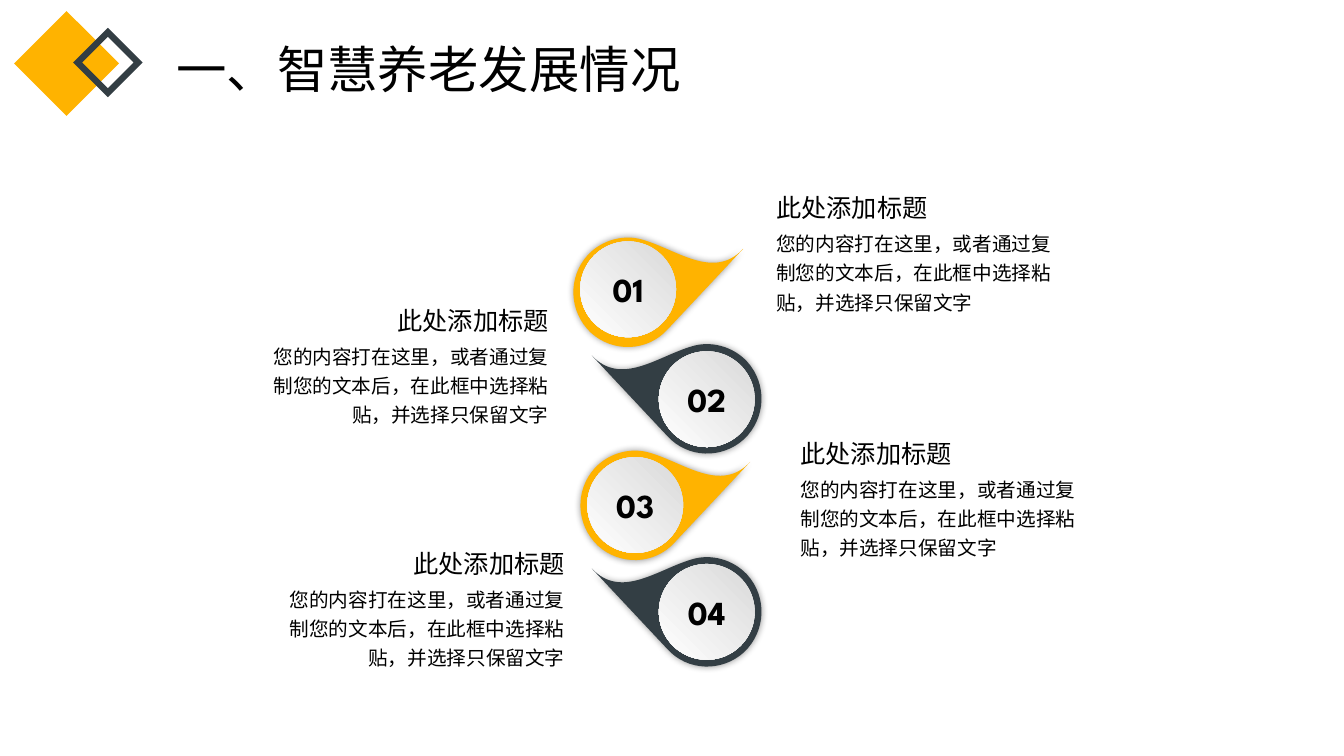
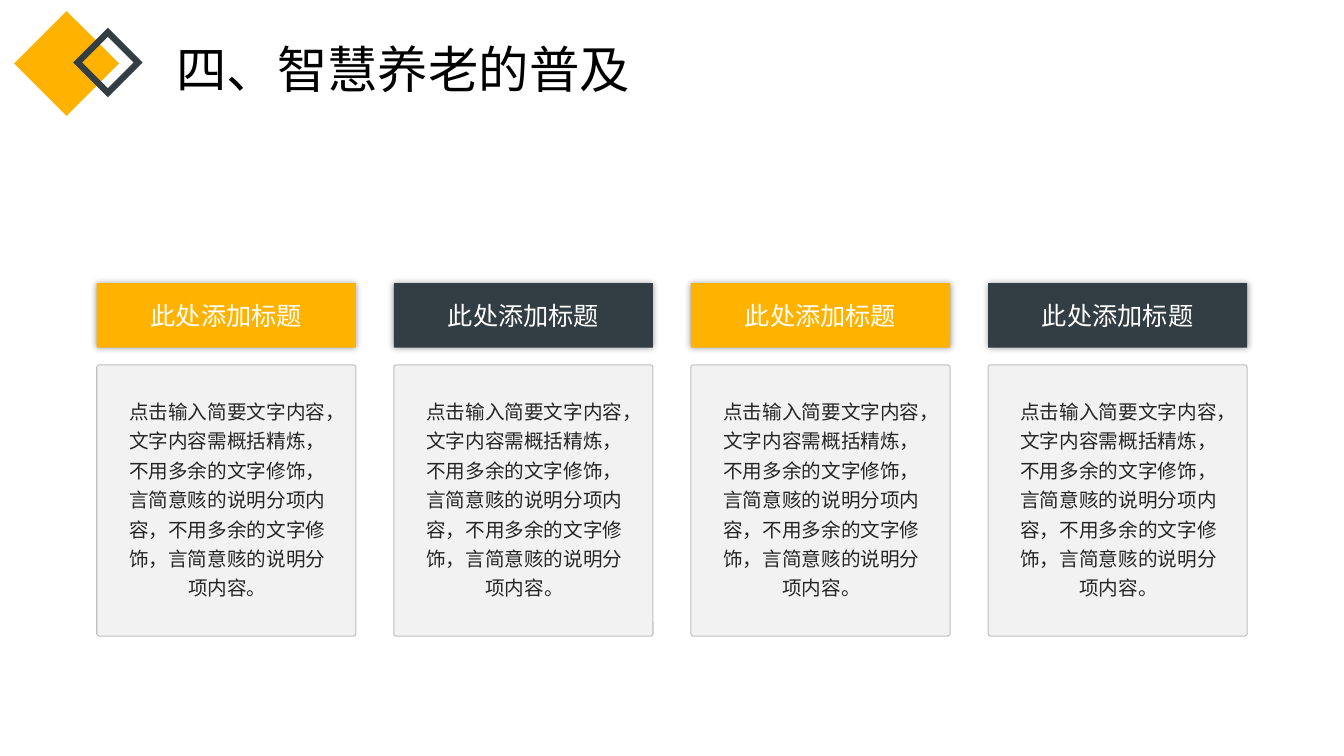
"""Build two slides on smart elderly care: numbered drops and four cards."""
import pptx
import pptx.dml.color
import pptx.enum.lang
import pptx.enum.shapes
import pptx.enum.text
import pptx.oxml.ns
import pptx.util
from lxml import etree

RGBColor = pptx.dml.color.RGBColor
Inches = pptx.util.Inches
Pt = pptx.util.Pt
SHAPE = pptx.enum.shapes.MSO_SHAPE
ALIGN = pptx.enum.text.PP_ALIGN
qn = pptx.oxml.ns.qn

AMBER = RGBColor(0xFF, 0xB3, 0x00)
SLATE = RGBColor(0x33, 0x3E, 0x44)
BLACK = RGBColor(0x00, 0x00, 0x00)
WHITE = RGBColor(0xFF, 0xFF, 0xFF)
INK = RGBColor(0x26, 0x26, 0x26)
CARD = RGBColor(0xF2, 0xF2, 0xF2)
CARD_EDGE = RGBColor(0xBF, 0xBF, 0xBF)
DISC_EDGE = RGBColor(0xD9, 0xD9, 0xD9)
ACCENTS = (AMBER, SLATE)

LATIN = "League Spartan"
CJK = "Noto Sans CJK SC"

HEADING = "此处添加标题"
BLURB = "您的内容打在这里，或者通过复制您的文本后，在此框中选择粘贴，并选择只保留文字"
SUMMARY = ("点击输入简要文字内容，文字内容需概括精炼，不用多余的文字修饰，"
           "言简意赅的说明分项内容，不用多余的文字修饰，言简意赅的说明分项内容。")

DROPS_TITLE = "一、智慧养老发展情况"
DROPS = [
    {"number": "01", "center": 6.23, "disc": 2.87, "text_at": (7.6, 1.86)},
    {"number": "02", "center": 7.01, "disc": 3.96, "text_at": (2.56, 2.98)},
    {"number": "03", "center": 6.3, "disc": 5.01, "text_at": (7.84, 4.3)},
    {"number": "04", "center": 7.01, "disc": 6.07, "text_at": (2.72, 5.39)},
]
FIRST_DROP, LAST_DROP, DISC = 2.88, 6.05, 0.95
DROP_TIP = (1.14, -0.41)
DROP_CURVES = [
    ((0.85, -0.1), (0.49, -0.4), (0.15, -0.5)),
    ((-0.04, -0.56), (-0.26, -0.5), (-0.4, -0.35)),
    ((-0.6, -0.13), (-0.59, 0.21), (-0.37, 0.42)),
    ((-0.15, 0.62), (0.19, 0.61), (0.39, 0.39)),
]
BLURB_WIDTH, HEADING_WIDTH = 2.98, 2.38

CARDS_TITLE = "四、智慧养老的普及"
CARDS = [(HEADING, SUMMARY)] * 4
FIRST_CARD, LAST_CARD, CARD_WIDTH = 0.96, 9.8, 2.57


def spread(first, last, count):
    return [first + (last - first) * index / (count - 1) for index in range(count)]


def write(frame, text, size, color, align=ALIGN.LEFT, spacing=None, font=LATIN, bold=None):
    paragraph = frame.paragraphs[0]
    paragraph.alignment = align
    if spacing:
        paragraph.line_spacing = spacing
    run = paragraph.add_run()
    run.text = text
    run.font.size = Pt(size)
    run.font.bold = bold
    run.font.color.rgb = color
    run.font.name = font
    run.font.language_id = pptx.enum.lang.MSO_LANGUAGE_ID.SIMPLIFIED_CHINESE
    etree.SubElement(run.font._element, qn("a:ea"), typeface=CJK)


def add_text(parent, box, *args, **style):
    frame = parent.shapes.add_textbox(*map(Inches, box)).text_frame
    frame.word_wrap = True
    frame.auto_size = pptx.enum.text.MSO_AUTO_SIZE.SHAPE_TO_FIT_TEXT
    write(frame, *args, **style)


def paint(shape, fill=None, line=None, line_width=0):
    shape.shadow.inherit = False
    if fill is None:
        shape.fill.background()
    else:
        shape.fill.solid()
        shape.fill.fore_color.rgb = fill
    if line is None:
        shape.line.fill.background()
    else:
        shape.line.color.rgb = line
        shape.line.width = Pt(line_width)
        etree.SubElement(shape._element.spPr.find(qn("a:ln")), qn("a:miter"), lim="800000")


def add_panel(parent, kind, box, *colors):
    panel = parent.shapes.add_shape(kind, *map(Inches, box))
    paint(panel, *colors)
    return panel


def add_glow(shape):
    effects = shape._element.spPr.find(qn("a:effectLst"))
    glow = etree.SubElement(effects, qn("a:outerShdw"), blurRad=str(Pt(5)), dist="0",
                            dir="0", algn="ctr", rotWithShape="0")
    color = etree.SubElement(glow, qn("a:srgbClr"), val=str(BLACK))
    etree.SubElement(color, qn("a:alpha"), val="40000")


def shade_radially(shape):
    shape.fill.gradient()
    for stop, color in zip(shape.fill.gradient_stops, (WHITE, DISC_EDGE)):
        stop.color.rgb = color
    gradient = shape._element.spPr.find(qn("a:gradFill"))
    gradient.remove(gradient.find(qn("a:lin")))
    radial = etree.SubElement(gradient, qn("a:path"))
    radial.set("path", "circle")
    etree.SubElement(radial, qn("a:fillToRect"), t="100000", r="100000")


def bend_lines(shape):
    lines = list(shape._element.spPr.iter(qn("a:lnTo")))
    for start in range(0, len(lines), 3):
        curve = etree.Element(qn("a:cubicBezTo"))
        lines[start].addprevious(curve)
        for line in lines[start:start + 3]:
            curve.append(line[0])
            line.getparent().remove(line)


def add_drop(slide, number, x, y, disc_y, color, direction):
    group = slide.shapes.add_group_shape()
    offsets = [DROP_TIP] + [point for curve in DROP_CURVES for point in curve]
    outline = [(Inches(x + direction * dx), Inches(y + dy)) for dx, dy in offsets]
    builder = group.shapes.build_freeform(*outline[0])
    builder.add_line_segments(outline[1:], close=True)
    drop = builder.convert_to_shape()
    bend_lines(drop)
    paint(drop, color)
    add_glow(drop)

    disc = add_panel(group, SHAPE.OVAL, (x - DISC / 2, disc_y - DISC / 2, DISC, DISC))
    shade_radially(disc)
    frame = disc.text_frame
    frame.margin_left = frame.margin_right = frame.margin_top = frame.margin_bottom = 0
    frame.word_wrap = False
    frame.vertical_anchor = pptx.enum.text.MSO_ANCHOR.MIDDLE
    write(frame, number, 24, BLACK, ALIGN.CENTER, bold=True)


def add_blurb(slide, left, top, align):
    group = slide.shapes.add_group_shape()
    indent = BLURB_WIDTH - HEADING_WIDTH if align == ALIGN.RIGHT else 0
    add_text(group, (left, top + 0.33, BLURB_WIDTH, 0.98), BLURB, 14, BLACK, align, 1.25)
    add_text(group, (left + indent, top, HEADING_WIDTH, 0.4), HEADING, 18, BLACK, align)


def add_titled_slide(deck, title):
    slide = deck.slides.add_slide(deck.slide_layouts[6])
    add_panel(slide, SHAPE.DIAMOND, (0.14, 0.11, 1.04, 1.04), AMBER)
    add_panel(slide, SHAPE.DIAMOND, (0.77, 0.32, 0.6, 0.6), None, SLATE, 4.5)
    add_text(slide, (1.65, 0.25, 6.98, 0.76), title, 36, BLACK, spacing=1.14, font=CJK)
    return slide


def build_drops(deck):
    slide = add_titled_slide(deck, DROPS_TITLE)
    for index, y in enumerate(spread(FIRST_DROP, LAST_DROP, len(DROPS))):
        drop = DROPS[index]
        add_drop(slide, drop["number"], drop["center"], y, drop["disc"],
                 ACCENTS[index % 2], (1, -1)[index % 2])
    for side, align in enumerate((ALIGN.LEFT, ALIGN.RIGHT)):
        for drop in DROPS[side::2]:
            add_blurb(slide, *drop["text_at"], align)


def build_cards(deck):
    slide = add_titled_slide(deck, CARDS_TITLE)
    for index, left in enumerate(spread(FIRST_CARD, LAST_CARD, len(CARDS))):
        heading, summary = CARDS[index]
        group = slide.shapes.add_group_shape()
        banner = add_panel(group, SHAPE.RECTANGLE, (left, 2.81, CARD_WIDTH, 0.64),
                           ACCENTS[index % 2])
        add_glow(banner)
        banner.text_frame.vertical_anchor = pptx.enum.text.MSO_ANCHOR.MIDDLE
        write(banner.text_frame, heading, 18, WHITE, ALIGN.CENTER)
        card = add_panel(group, SHAPE.ROUNDED_RECTANGLE, (left, 3.62, CARD_WIDTH, 2.69),
                         CARD, CARD_EDGE, 0.75)
        card.adjustments[0] = 0.01
        add_text(group, (left + 0.16, 3.86, CARD_WIDTH - 0.3, 2.14), summary, 14, INK,
                 ALIGN.CENTER, 1.25)


def main():
    deck = pptx.Presentation()
    deck.slide_width, deck.slide_height = Inches(13.33), Inches(7.5)
    build_drops(deck)
    build_cards(deck)
    deck.save("out.pptx")


if __name__ == "__main__":
    main()
